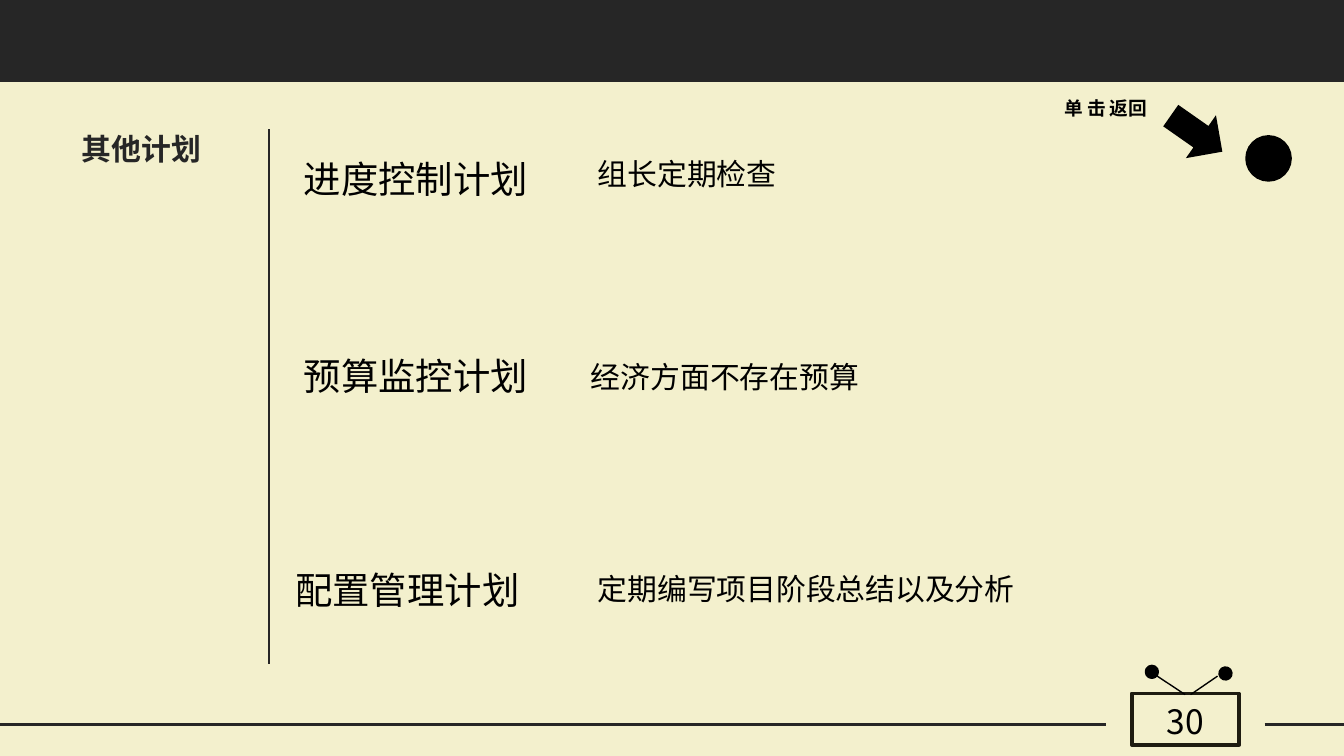
"""Build the slide listing the remaining project plans."""
from dataclasses import dataclass
from typing import Optional

from lxml.etree import SubElement
from pptx import Presentation
from pptx.dml.color import RGBColor
from pptx.enum.shapes import MSO_CONNECTOR, MSO_SHAPE
from pptx.enum.text import MSO_AUTO_SIZE, PP_ALIGN
from pptx.oxml.ns import qn
from pptx.slide import Slide
from pptx.util import Cm, Pt

CREAM = RGBColor(0xF3, 0xF0, 0xCD)
CHARCOAL = RGBColor(0x26, 0x26, 0x26)
OLIVE_BLACK = RGBColor(0x1E, 0x1C, 0x11)
BLACK = RGBColor(0, 0, 0)
FONT = "Noto Sans CJK JP"
WIDTH, HEIGHT = 25.4, 14.29


@dataclass(frozen=True)
class Label:
    text: str
    left: float
    top: float
    width: float
    height: float
    size: float
    color: RGBColor = BLACK
    bold: bool = False
    align: PP_ALIGN = PP_ALIGN.LEFT
    wrap: bool = True


@dataclass(frozen=True)
class Rule:
    x1: float
    y1: float
    x2: float
    y2: float
    weight: float
    color: RGBColor = CHARCOAL


@dataclass(frozen=True)
class Figure:
    preset: MSO_SHAPE
    left: float
    top: float
    width: float
    height: float
    fill: Optional[RGBColor] = BLACK
    line: Optional[RGBColor] = None
    rotation: float = 0


@dataclass(frozen=True)
class Plan:
    name: str
    name_left: float
    name_top: float
    detail: str
    detail_left: float
    detail_top: float


RULES = [
    Rule(5.08, 2.44, 5.08, 12.55, 1.25),
    Rule(0, 13.69, 20.9, 13.69, 1.75),
    Rule(23.9, 13.69, WIDTH, 13.69, 1.75),
    Rule(21.87, 12.78, 22.4, 13.13, 0.75, BLACK),
    Rule(23.01, 12.78, 22.5, 13.13, 0.75, BLACK),
]

FIGURES = [
    Figure(MSO_SHAPE.RECTANGLE, 0, 0, WIDTH, 1.55, CHARCOAL),
    Figure(MSO_SHAPE.RECTANGLE, 21.39, 13.11, 2.03, 0.97, None, OLIVE_BLACK),
    Figure(MSO_SHAPE.OVAL, 21.67, 12.6, 0.2, 0.2, line=BLACK),
    Figure(MSO_SHAPE.OVAL, 23.06, 12.63, 0.2, 0.2, line=BLACK, rotation=112),
    Figure(MSO_SHAPE.OVAL, 23.57, 2.59, 0.81, 0.81, line=BLACK),
    Figure(MSO_SHAPE.LEFT_ARROW, 22.02, 2.03, 1.19, 0.99, rotation=215),
]

LABELS = [
    Label("其他计划", 1.3, 2.34, 2.77, 0.99, 16, CHARCOAL, bold=True, wrap=False),
    Label("30", 21.59, 13.13, 1.63, 1.09, 18, align=PP_ALIGN.CENTER),
    Label("单 击 返回", 19.28, 1.7, 3.23, 0.71, 10, bold=True, align=PP_ALIGN.CENTER),
]

PLANS = [
    Plan("进度控制计划", 5.49, 2.82, "组长定期检查", 11.05, 2.82),
    Plan("预算监控计划", 5.49, 6.55, "经济方面不存在预算", 10.92, 6.65),
    Plan("配置管理计划", 5.33, 10.59, "定期编写项目阶段总结以及分析", 11.05, 10.67),
]


def draw_rule(slide: Slide, rule: Rule) -> None:
    """Draw a straight line without a shadow."""
    connector = slide.shapes.add_connector(
        MSO_CONNECTOR.STRAIGHT, Cm(rule.x1), Cm(rule.y1), Cm(rule.x2), Cm(rule.y2)
    )
    connector.line.color.rgb = rule.color
    connector.line.width = Pt(rule.weight)
    SubElement(connector._element.spPr, qn("a:effectLst"))


def draw_figure(slide: Slide, figure: Figure) -> None:
    """Draw a preset shape with an optional fill and outline."""
    shape = slide.shapes.add_shape(
        figure.preset, Cm(figure.left), Cm(figure.top), Cm(figure.width), Cm(figure.height)
    )
    shape.shadow.inherit = False
    shape.rotation = figure.rotation
    for part, color in ((shape.fill, figure.fill), (shape.line.fill, figure.line)):
        if color is None:
            part.background()
        else:
            part.solid()
            part.fore_color.rgb = color
    if figure.line is not None:
        shape.line.width = Pt(2)


def draw_label(slide: Slide, label: Label) -> None:
    """Write one line of text in its own box."""
    box = slide.shapes.add_textbox(
        Cm(label.left), Cm(label.top), Cm(label.width), Cm(label.height)
    )
    frame = box.text_frame
    frame.word_wrap = label.wrap
    frame.auto_size = MSO_AUTO_SIZE.SHAPE_TO_FIT_TEXT
    paragraph = frame.paragraphs[0]
    paragraph.alignment = label.align
    run = paragraph.add_run()
    run.text = label.text
    text_format = {"name": FONT, "size": Pt(label.size), "bold": label.bold}
    for attribute, value in text_format.items():
        setattr(run.font, attribute, value)
    run.font.color.rgb = label.color
    SubElement(run._r.get_or_add_rPr(), qn("a:ea"), typeface=FONT)


def draw_plan(slide: Slide, plan: Plan) -> None:
    """Write a plan's name and its detail side by side."""
    draw_label(slide, Label(plan.name, plan.name_left, plan.name_top, 5.56, 1.17, 20))
    draw_label(slide, Label(plan.detail, plan.detail_left, plan.detail_top, 9.53, 0.99, 16))


def main() -> None:
    """Assemble and save the slide."""
    presentation = Presentation()
    presentation.slide_width = Cm(WIDTH)
    presentation.slide_height = Cm(HEIGHT)
    slide = presentation.slides.add_slide(presentation.slide_layouts[6])
    slide.background.fill.solid()
    slide.background.fill.fore_color.rgb = CREAM
    for figure in FIGURES:
        draw_figure(slide, figure)
    for rule in RULES:
        draw_rule(slide, rule)
    for label in LABELS:
        draw_label(slide, label)
    for plan in PLANS:
        draw_plan(slide, plan)
    presentation.save("out.pptx")


if __name__ == "__main__":
    main()
